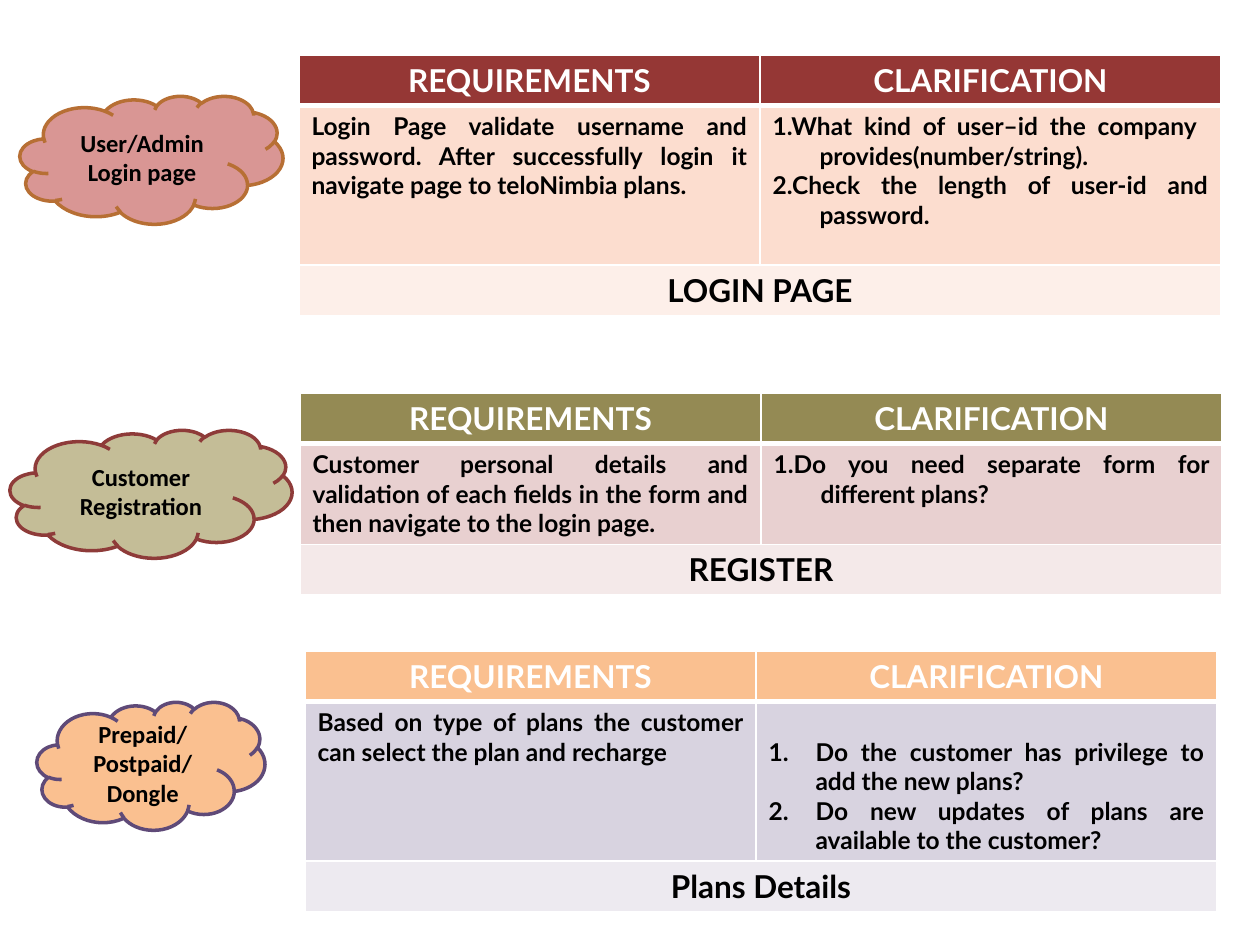
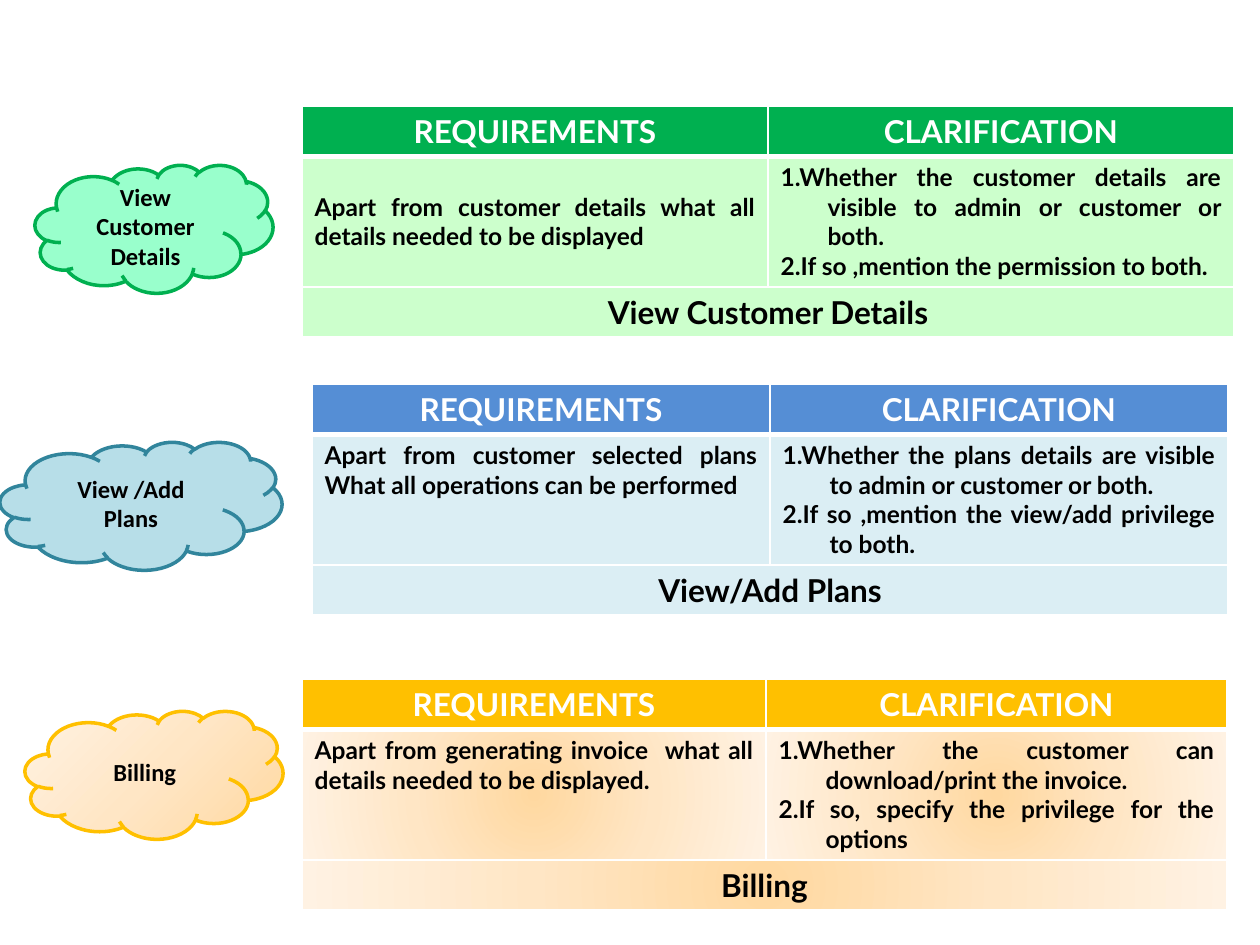
from dataclasses import dataclass
from typing import Optional, Union

from lxml.etree import SubElement
from pptx import Presentation
from pptx.dml.color import RGBColor
from pptx.enum.shapes import MSO_SHAPE
from pptx.enum.text import MSO_ANCHOR as Anchor, PP_ALIGN as Align
from pptx.oxml.ns import qn
from pptx.util import Emu, Pt

PIXEL = 914400 / 126
SLIDE_WIDTH, SLIDE_HEIGHT = 1260, 945
CLOUD_HEIGHT = 128
BAND_HEIGHT = 50
LINE_HEIGHT, CELL_PADDING = 29.4, 12.6
HANGING_INDENT = 47

CLOUD_FONT, TABLE_FONT = "Calibri", "Lato"
BODY_SIZE, BAND_SIZE = 14, 18
HEADINGS = ("REQUIREMENTS", "CLARIFICATION")

WHITE = RGBColor(0xFF, 0xFF, 0xFF)
BLACK = RGBColor(0x00, 0x00, 0x00)
ROSE = RGBColor(0xD9, 0x96, 0x94)
RUST = RGBColor(0xB7, 0x6F, 0x34)
MAROON = RGBColor(0x95, 0x37, 0x35)
PEACH = RGBColor(0xFC, 0xDD, 0xCF)
PALE_PEACH = RGBColor(0xFD, 0xEF, 0xE9)
TAN = RGBColor(0xC4, 0xBD, 0x97)
BRICK = RGBColor(0x8E, 0x3B, 0x39)
OLIVE = RGBColor(0x94, 0x8A, 0x54)
PINK = RGBColor(0xE8, 0xD0, 0xD0)
PALE_PINK = RGBColor(0xF4, 0xE9, 0xE9)
ORANGE = RGBColor(0xFA, 0xC0, 0x90)
PURPLE = RGBColor(0x5F, 0x4A, 0x78)
LILAC = RGBColor(0xD8, 0xD3, 0xE0)
PALE_LILAC = RGBColor(0xED, 0xEA, 0xF0)
MINT = RGBColor(0x99, 0xFF, 0xCC)
GREEN = RGBColor(0x00, 0xB0, 0x50)
PALE_GREEN = RGBColor(0xCC, 0xFF, 0xCC)
SKY = RGBColor(0xB7, 0xDE, 0xE8)
TEAL = RGBColor(0x31, 0x85, 0x9C)
BLUE = RGBColor(0x55, 0x8E, 0xD5)
PALE_BLUE = RGBColor(0xDB, 0xEE, 0xF4)
GOLD = RGBColor(0xFF, 0xC0, 0x00)
CREAM_STOPS = (
    (0, RGBColor(0xFF, 0xD8, 0xA0)),
    (50, RGBColor(0xFF, 0xE6, 0xC5)),
    (100, RGBColor(0xFF, 0xF2, 0xE3)),
)


@dataclass(frozen=True)
class Gradient:
    """Gradient stops; without an angle the colours spread from the centre."""
    stops: tuple
    angle: Optional[int] = None


Fill = Union[RGBColor, Gradient]
CREAM_DIAGONAL = Gradient(CREAM_STOPS, 225)
CREAM_RADIAL = Gradient(CREAM_STOPS)


@dataclass(frozen=True)
class Cloud:
    """A cloud label beside a table."""
    left: int
    top: int
    width: int
    lines: tuple[str, ...]
    fill: Fill
    outline: RGBColor


@dataclass(frozen=True)
class Topic:
    """A cloud and its table of requirements and clarifications."""
    cloud: Cloud
    left: int
    top: int
    columns: tuple[int, int]
    body_lines: int
    requirement: str
    questions: tuple[str, ...]
    caption: str
    header_fill: RGBColor
    body_fill: Fill
    caption_fill: Fill
    requirement_anchor: Anchor = Anchor.TOP
    question_anchor: Anchor = Anchor.TOP
    numbered: bool = False


SLIDES = (
    (
        Topic(
            Cloud(20, 96, 263, ("User/Admin Login page",), ROSE, RUST),
            299, 55, (461, 461), 5,
            "Login Page validate username and password. After successfully "
            "login it navigate page to teloNimbia plans.",
            ("1.What kind of user–id the company  provides(number/string).",
             "2.Check the length of user-id and password."),
            "LOGIN PAGE", MAROON, PEACH, PALE_PEACH),
        Topic(
            Cloud(10, 430, 282, ("Customer Registration",), TAN, BRICK),
            300, 393, (461, 461), 3,
            "Customer personal details and validation of each fields in the "
            "form and then navigate to the login page.",
            ("1.Do you need separate form for different plans?",),
            "REGISTER", OLIVE, PINK, PALE_PINK),
        Topic(
            Cloud(37, 702, 228, ("Prepaid/", "Postpaid/", "Dongle"), ORANGE, PURPLE),
            305, 651, (451, 461), 5,
            "Based on type of plans the customer can select the plan and recharge",
            ("Do the customer has privilege to add the new plans?",
             "Do new updates of plans are available to the customer?"),
            "Plans Details", ORANGE, LILAC, PALE_LILAC,
            question_anchor=Anchor.BOTTOM, numbered=True),
    ),
    (
        Topic(
            Cloud(35, 165, 238, ("View Customer Details",), MINT, GREEN),
            302, 106, (466, 466), 4,
            "Apart from customer details what all details needed to be displayed",
            ("1.Whether the customer details are visible to admin or customer or both.",
             "2.If so ,mention the permission to both."),
            "View Customer Details", GREEN, PALE_GREEN, PALE_GREEN,
            requirement_anchor=Anchor.MIDDLE),
        Topic(
            Cloud(0, 442, 282, ("View /Add Plans",), SKY, TEAL),
            312, 384, (458, 458), 4,
            "Apart from customer selected plans What all operations can be performed",
            ("1.Whether the plans details are visible to admin or customer or both.",
             "2.If so ,mention the view/add privilege to both."),
            "View/Add Plans", BLUE, PALE_BLUE, PALE_BLUE),
        Topic(
            Cloud(25, 711, 258, ("Billing",), CREAM_DIAGONAL, GOLD),
            302, 679, (464, 461), 4,
            "Apart from generating invoice  what all details needed to be displayed.",
            ("1.Whether the customer can download/print the invoice.",
             "2.If so, specify the privilege for the options"),
            "Billing", GOLD, CREAM_RADIAL, CREAM_RADIAL),
    ),
)


def px(length: float) -> Emu:
    """Turn pixels into EMU."""
    return Emu(round(length * PIXEL))


def paint(target, properties, fill: Fill) -> None:
    """Fill a shape or cell; gradients are appended to its properties."""
    if isinstance(fill, RGBColor):
        target.fill.solid()
        target.fill.fore_color.rgb = fill
        return
    gradient = SubElement(properties, qn("a:gradFill"), rotWithShape="1")
    stops = SubElement(gradient, qn("a:gsLst"))
    for position, color in fill.stops:
        stop = SubElement(stops, qn("a:gs"), pos=str(position * 1000))
        SubElement(stop, qn("a:srgbClr"), val=str(color))
    if fill.angle is not None:
        SubElement(gradient, qn("a:lin"), ang=str(fill.angle * 60000), scaled="1")
    else:
        spread = SubElement(gradient, qn("a:path"), path="circle")
        SubElement(spread, qn("a:fillToRect"), l="50000", t="50000", r="50000", b="50000")


def write(text_frame, lines: tuple[str, ...], size: int, font_name: str,
          color: RGBColor, alignment: Align) -> None:
    """Write each line as one bold paragraph."""
    for index, line in enumerate(lines):
        paragraph = text_frame.add_paragraph() if index else text_frame.paragraphs[0]
        paragraph.alignment = alignment
        run = paragraph.add_run()
        run.text = line
        run.font.size = Pt(size)
        run.font.name = font_name
        run.font.bold = True
        run.font.color.rgb = color


def hang(text_frame, numbered: bool) -> None:
    """Give the paragraphs a hanging indent, and numbers where asked."""
    for paragraph in text_frame.paragraphs:
        properties = paragraph._p.get_or_add_pPr()
        properties.set("marL", str(px(HANGING_INDENT)))
        properties.set("indent", str(-px(HANGING_INDENT)))
        if numbered:
            SubElement(properties, qn("a:buFont"), typeface="+mj-lt")
            SubElement(properties, qn("a:buAutoNum"), type="arabicPeriod")


def style_cell(cell, fill: Fill, row: int) -> None:
    """Draw white borders, thick below the header, and fill the cell."""
    properties = cell._tc.get_or_add_tcPr()
    thick_edge = {0: "lnB", 1: "lnT"}.get(row)
    for edge in ("lnL", "lnR", "lnT", "lnB"):
        width = Pt(3 if edge == thick_edge else 1)
        border = SubElement(properties, qn(f"a:{edge}"), w=str(width))
        color = SubElement(border, qn("a:solidFill"))
        SubElement(color, qn("a:srgbClr"), val=str(WHITE))
    paint(cell, properties, fill)


def add_cloud(slide, cloud: Cloud) -> None:
    """Add a labelled cloud."""
    shape = slide.shapes.add_shape(MSO_SHAPE.CLOUD, px(cloud.left), px(cloud.top),
                                   px(cloud.width), px(CLOUD_HEIGHT))
    paint(shape, shape._element.spPr, cloud.fill)
    shape.line.color.rgb = cloud.outline
    shape.line.width = Pt(2)
    shape.shadow.inherit = False
    shape.text_frame.word_wrap = True
    shape.text_frame.vertical_anchor = Anchor.MIDDLE
    write(shape.text_frame, cloud.lines, BODY_SIZE, CLOUD_FONT, BLACK, Align.CENTER)


def add_topic_table(slide, topic: Topic) -> None:
    """Add the header, body and caption rows of a topic."""
    body_height = topic.body_lines * LINE_HEIGHT + CELL_PADDING
    heights = (BAND_HEIGHT, body_height, BAND_HEIGHT)
    table = slide.shapes.add_table(len(heights), len(HEADINGS), px(topic.left), px(topic.top),
                                   px(sum(topic.columns)), px(sum(heights))).table
    for column, width in zip(table.columns, topic.columns):
        column.width = px(width)
    fills = (topic.header_fill, topic.body_fill, topic.caption_fill)
    for index, (height, fill) in enumerate(zip(heights, fills)):
        table.rows[index].height = px(height)
        for cell in table.rows[index].cells:
            style_cell(cell, fill, index)

    for column, heading in enumerate(HEADINGS):
        write(table.cell(0, column).text_frame, (heading,), BAND_SIZE, TABLE_FONT,
              WHITE, Align.CENTER)
    bodies = (((topic.requirement,), topic.requirement_anchor),
              (topic.questions, topic.question_anchor))
    for column, (lines, anchor) in enumerate(bodies):
        cell = table.cell(1, column)
        cell.vertical_anchor = anchor
        write(cell.text_frame, lines, BODY_SIZE, TABLE_FONT, BLACK, Align.JUSTIFY)
    hang(table.cell(1, 1).text_frame, topic.numbered)
    caption = table.cell(2, 0)
    caption.merge(table.cell(2, 1))
    write(caption.text_frame, (topic.caption,), BAND_SIZE, TABLE_FONT, BLACK, Align.CENTER)


def main() -> None:
    """Build and save the presentation."""
    presentation = Presentation()
    presentation.slide_width = px(SLIDE_WIDTH)
    presentation.slide_height = px(SLIDE_HEIGHT)
    for topics in SLIDES:
        slide = presentation.slides.add_slide(presentation.slide_layouts[6])
        for topic in topics:
            add_cloud(slide, topic.cloud)
        for topic in topics:
            add_topic_table(slide, topic)
    presentation.save("out.pptx")


main()
